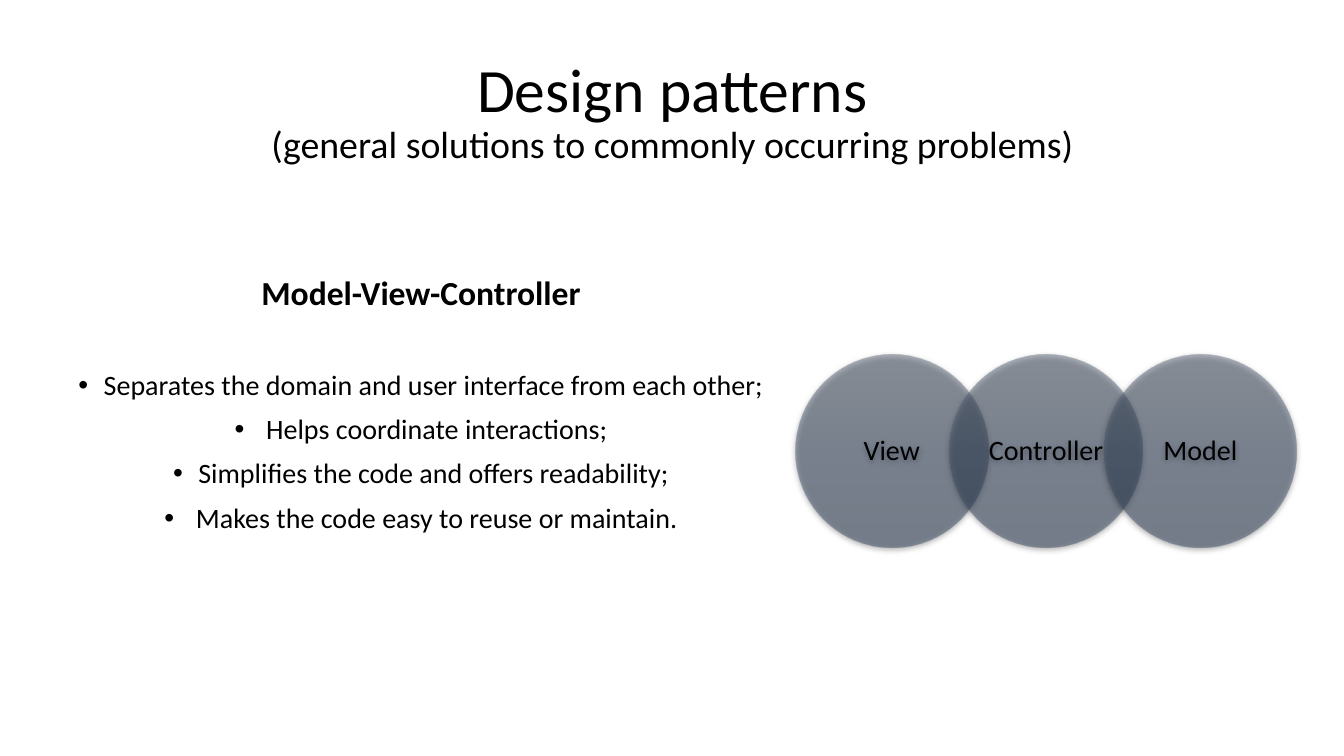
from lxml import etree
from pptx import Presentation
from pptx.dml.color import RGBColor
from pptx.enum.shapes import MSO_SHAPE
from pptx.enum.text import MSO_ANCHOR, PP_ALIGN
from pptx.oxml import parse_xml
from pptx.oxml.ns import nsdecls, qn
from pptx.util import Inches, Pt

CENTER = PP_ALIGN.CENTER
MIDDLE = MSO_ANCHOR.MIDDLE
ELLIPSE = MSO_SHAPE.OVAL
FONT = "Calibri"
BLACK = "000000"
GRADIENT = [(0, "606B7D"), (50, "42546C"), (100, "394A62")]
BENEFITS = [
    "Separates the domain and user interface from each other;",
    " Helps coordinate interactions;",
    "Simplifies the code and offers readability;",
    " Makes the code easy to reuse or maintain.",
]


def color(hex_value):
    """Turn a hex string into a colour."""
    return RGBColor.from_string(hex_value)


def style(paragraph, size, bold=False):
    """Centre a paragraph and set its font."""
    paragraph.alignment = CENTER
    paragraph.line_spacing = 0.9
    paragraph.font.name = FONT
    paragraph.font.size = Pt(size)
    paragraph.font.bold = bold
    paragraph.font.color.rgb = color(BLACK)


def add_text_frame(slide, box):
    """Add a wrapping text box and return its text frame."""
    text_frame = slide.shapes.add_textbox(*map(Inches, box)).text_frame
    text_frame.word_wrap = True
    return text_frame


def add_bullet(paragraph):
    """Give a paragraph a bullet with a hanging indent."""
    properties = paragraph._p.get_or_add_pPr()
    properties.set("marL", str(Inches(0.25)))
    properties.set("indent", str(Inches(-0.25)))
    font = etree.SubElement(properties, qn("a:buFont"))
    font.set("typeface", "Arial")
    etree.SubElement(properties, qn("a:buChar")).set("char", "•")
    # The schema wants default run properties after the bullet.
    properties.append(properties.find(qn("a:defRPr")))


def add_title(slide, box):
    """Add the title with its smaller second line."""
    text_frame = add_text_frame(slide, box)
    text_frame.vertical_anchor = MIDDLE
    paragraph = text_frame.paragraphs[0]
    style(paragraph, 44)
    paragraph.add_run().text = "Design patterns"
    paragraph.runs[0].font.size = Pt(44)
    paragraph.add_line_break()
    subtitle = paragraph.add_run()
    subtitle.text = "(general solutions to commonly occurring problems)"
    subtitle.font.size = Pt(27)


def add_benefits(slide, box):
    """Add the pattern name and its bulleted benefits."""
    text_frame = add_text_frame(slide, box)
    heading = text_frame.paragraphs[0]
    heading.text = "Model-View-Controller"
    style(heading, 24, bold=True)
    for index, benefit in enumerate(BENEFITS):
        paragraph = text_frame.add_paragraph()
        paragraph.text = benefit
        style(paragraph, 20)
        paragraph.space_before = Pt(10 if index else 42)
        add_bullet(paragraph)


def style_circle(circle):
    """Give a circle a translucent gradient and a soft shadow."""
    circle.line.fill.background()
    circle.shadow.inherit = False
    stops = "".join(
        f'<a:gs pos="{position * 1000}"><a:srgbClr val="{value}">'
        '<a:alpha val="50000"/></a:srgbClr></a:gs>'
        for position, value in GRADIENT
    )
    properties = circle._element.spPr
    properties.find(qn("a:prstGeom")).addnext(parse_xml(
        f'<a:gradFill {nsdecls("a")} rotWithShape="1"><a:gsLst>{stops}</a:gsLst>'
        '<a:lin ang="5400000" scaled="0"/></a:gradFill>'
    ))
    properties.find(qn("a:effectLst")).append(parse_xml(
        f'<a:outerShdw {nsdecls("a")} blurRad="{Pt(4.5)}" dist="{Pt(1.5)}" '
        f'dir="5400000" rotWithShape="0"><a:srgbClr val="{BLACK}">'
        '<a:alpha val="63000"/></a:srgbClr></a:outerShdw>'
    ))


def add_circles(slide, box, labels):
    """Spread overlapping labelled circles evenly over the box."""
    left, top, width, diameter = box
    step = (width - diameter) / (len(labels) - 1)
    for index, label in enumerate(labels):
        circle = slide.shapes.add_shape(
            ELLIPSE, Inches(left + index * step), Inches(top),
            Inches(diameter), Inches(diameter))
        style_circle(circle)
        text_frame = circle.text_frame
        text_frame.word_wrap = False
        text_frame.vertical_anchor = MIDDLE
        text_frame.margin_left = text_frame.margin_right = Inches(0.11)
        text_frame.margin_top = text_frame.margin_bottom = Inches(0.03)
        text_frame.text = label
        style(text_frame.paragraphs[0], 20)


def build_slide(presentation):
    """Build the design patterns slide."""
    slide = presentation.slides.add_slide(presentation.slide_layouts[6])
    add_title(slide, (0.92, 0.4, 11.5, 1.45))
    add_benefits(slide, (0.64, 2.69, 7.07, 4.41))
    add_circles(slide, (7.89, 3.52, 4.97, 1.91), ["View", "Controller", "Model"])


presentation = Presentation()
presentation.slide_width = Inches(13.33)
presentation.slide_height = Inches(7.5)
build_slide(presentation)
presentation.save("out.pptx")
